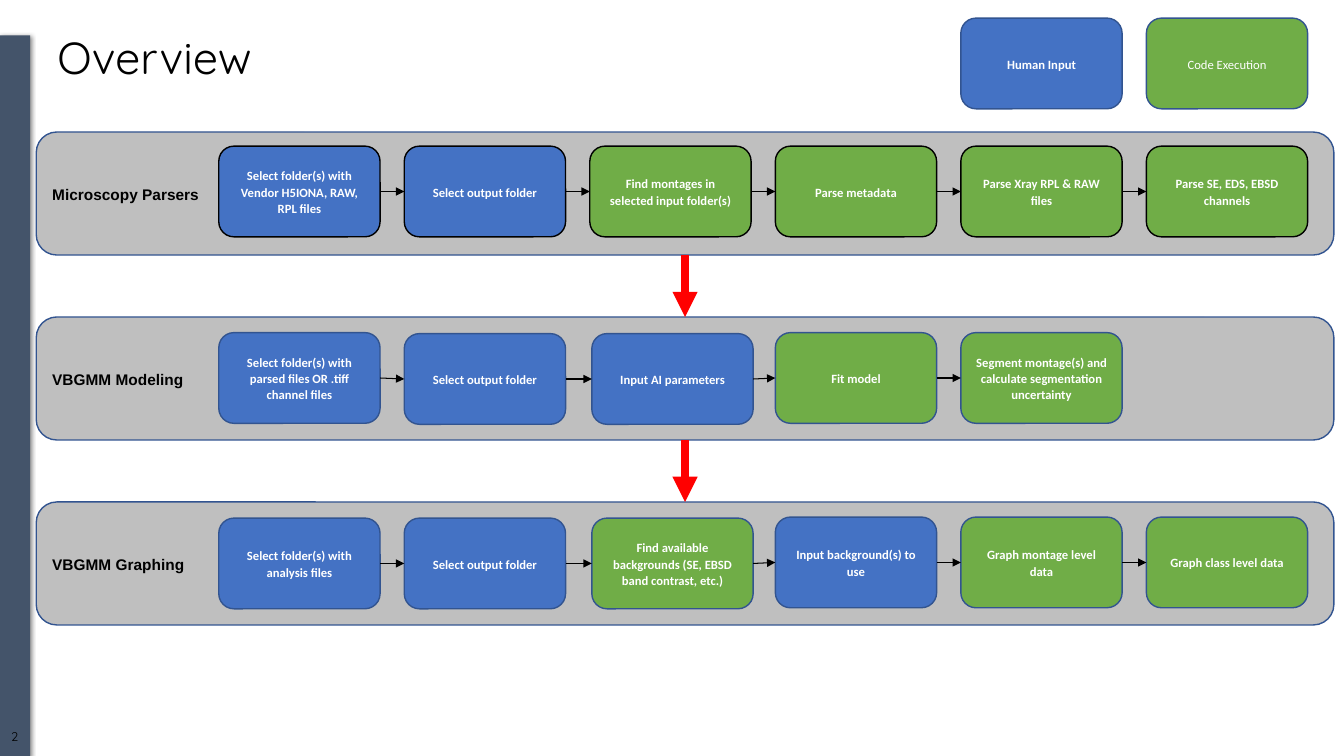
from lxml.etree import SubElement
from pptx import Presentation
from pptx.dml.color import RGBColor
from pptx.enum.shapes import MSO_CONNECTOR, MSO_SHAPE
from pptx.enum.text import MSO_ANCHOR, PP_ALIGN
from pptx.oxml.ns import qn
from pptx.util import Inches, Pt

BLUE = RGBColor(0x44, 0x72, 0xC4)
GREEN = RGBColor(0x70, 0xAD, 0x47)
GREY = RGBColor(0xBF, 0xBF, 0xBF)
NAVY = RGBColor(0x32, 0x54, 0x90)
SLATE = RGBColor(0x44, 0x54, 0x6A)
RED = RGBColor(0xFF, 0, 0)
BLACK = RGBColor(0, 0, 0)
WHITE = RGBColor(0xFF, 0xFF, 0xFF)

TOP, RIGHT, BOTTOM, LEFT = 0, 3, 2, 1  # connection sites
STEP_WIDTH, STEP_HEIGHT = 1.6, 0.9
COLUMNS = [2.17 + 1.84 * index for index in range(6)]
LANE_TOP, LANE_PITCH, LANE_HEIGHT = 1.31, 1.835, 1.22

# Each lane: name, step outline, third column's left, tops of steps, steps
LANES = [
    ("Microscopy Parsers", BLACK, 5.85, [1.45] * 6, [
        ("Select folder(s) with Vendor H5IONA, RAW, RPL files", BLUE),
        ("Select output folder", BLUE),
        ("Find montages in selected input folder(s)", GREEN),
        ("Parse metadata", GREEN),
        ("Parse Xray RPL & RAW files", GREEN),
        ("Parse SE, EDS, EBSD channels", GREEN)]),
    ("VBGMM Modeling", NAVY, 5.87, [3.3, 3.31, 3.31, 3.3, 3.3], [
        ("Select folder(s) with parsed files OR .tiff channel files", BLUE),
        ("Select output folder", BLUE),
        ("Input AI parameters", BLUE),
        ("Fit model", GREEN),
        ("Segment montage(s) and calculate segmentation uncertainty", GREEN)]),
    ("VBGMM Graphing", NAVY, 5.87, [5.14, 5.14, 5.14, 5.13, 5.13, 5.13], [
        ("Select folder(s) with analysis files", BLUE),
        ("Select output folder", BLUE),
        ("Find available backgrounds (SE, EBSD band contrast, etc.)", GREEN),
        ("Input background(s) to use", BLUE),
        ("Graph montage level data", GREEN),
        ("Graph class level data", GREEN)]),
]


def write(frame, text, font="Calibri", size=9, color=WHITE, bold=False,
          align=PP_ALIGN.CENTER, anchor=MSO_ANCHOR.MIDDLE, spacing=1.07,
          after=8, margins=(0.1, 0.05)):
    """Put one formatted paragraph in a text frame."""
    frame.word_wrap = True
    frame.vertical_anchor = anchor
    frame.margin_left = frame.margin_right = Inches(margins[0])
    frame.margin_top = frame.margin_bottom = Inches(margins[1])
    para = frame.paragraphs[0]
    para.alignment = align
    para.line_spacing = spacing
    para.space_before = Pt(0)
    para.space_after = Pt(after)
    span = para.add_run()
    span.text = text
    span.font.name = font
    span.font.size = Pt(size)
    span.font.bold = bold
    span.font.color.rgb = color


class FlowPage:
    """Holds the current slide and the style of its elements."""

    def __init__(self, deck):
        """Add a slide that has only a title."""
        self.page = deck.slides.add_slide(deck.slide_layouts[5])
        self.shapes = self.page.shapes

    def title(self, text):
        """Place and fill the title placeholder."""
        box = self.page.shapes.title
        box.left, box.top = Inches(0.47), Inches(0.3)
        box.width, box.height = Inches(12.5), Inches(0.59)
        write(box.text_frame, text, font="Quicksand", size=32, color=BLACK,
              align=PP_ALIGN.LEFT, spacing=0.9, after=0)

    def sidebar(self, number):
        """Draw the shadowed bar at the left with the page number."""
        bar = self.box(MSO_SHAPE.RECTANGLE, 0, 0.35, 0.3, 7.15, SLATE)
        effects = bar._element.spPr.find(qn("a:effectLst"))
        shadow = SubElement(effects, qn("a:outerShdw"), blurRad=str(Pt(3.5)),
                            dist=str(Pt(1.1)), dir="5400000", rotWithShape="0")
        tint = SubElement(shadow, qn("a:srgbClr"), val="000000")
        SubElement(tint, qn("a:alpha"), val="45000")
        label = self.shapes.add_textbox(Inches(-0.01), Inches(7.25),
                                        Inches(0.31), Inches(0.16))
        write(label.text_frame, number, font="Quicksand", color=BLACK,
              anchor=MSO_ANCHOR.TOP, spacing=0.9, after=0, margins=(0, 0))

    def box(self, kind, left, top, width, height, fill, outline=None):
        """Draw a filled shape without shadow."""
        box = self.shapes.add_shape(kind, Inches(left), Inches(top),
                                    Inches(width), Inches(height))
        box.shadow.inherit = False
        box.fill.solid()
        box.fill.fore_color.rgb = fill
        if outline is None:
            box.line.fill.background()
        else:
            box.line.color.rgb = outline
            box.line.width = Pt(1)
        return box

    def step(self, text, left, top, fill, outline=NAVY, bold=True):
        """Draw one rounded step of the flow."""
        box = self.box(MSO_SHAPE.ROUNDED_RECTANGLE, left, top,
                       STEP_WIDTH, STEP_HEIGHT, fill, outline)
        write(box.text_frame, text, bold=bold)
        return box

    def arrow(self, start, start_site, end, end_site, color=BLACK, width=0.75):
        """Join two shapes with an arrow."""
        line = self.shapes.add_connector(MSO_CONNECTOR.STRAIGHT, 0, 0, 0, 0)
        line.begin_connect(start, start_site)
        line.end_connect(end, end_site)
        line.line.color.rgb = color
        line.line.width = Pt(width)
        SubElement(line.line._get_or_add_ln(), qn("a:tailEnd"), type="triangle")
        SubElement(line._element.spPr, qn("a:effectLst"))

    def lane(self, top, name, outline, third_left, tops, steps):
        """Draw a named, grouped lane with its chain of steps."""
        self.shapes = self.page.shapes.add_group_shape().shapes
        band = self.box(MSO_SHAPE.ROUNDED_RECTANGLE, 0.36, top, 12.87,
                        LANE_HEIGHT, GREY, NAVY)
        write(band.text_frame, name, font="Arial", size=11, color=BLACK,
              bold=True, align=PP_ALIGN.LEFT)
        lefts = COLUMNS[:2] + [third_left] + COLUMNS[3:]
        boxes = [self.step(text, left, step_top, fill, outline)
                 for (text, fill), left, step_top in zip(steps, lefts, tops)]
        for start, end in zip(boxes, boxes[1:]):
            self.arrow(start, RIGHT, end, LEFT)
        self.shapes = self.page.shapes
        return band


deck = Presentation()
deck.slide_width, deck.slide_height = Inches(13.33), Inches(7.5)

overview = FlowPage(deck)
overview.sidebar("2")
overview.title("Overview")
overview.step("Human Input", COLUMNS[4], 0.18, BLUE)
overview.step("Code Execution", COLUMNS[5], 0.18, GREEN, bold=False)

bands = [overview.lane(LANE_TOP + LANE_PITCH * index, *lane)
         for index, lane in enumerate(LANES)]
for upper, lower in zip(bands, bands[1:]):
    overview.arrow(upper, BOTTOM, lower, TOP, RED, 6)

deck.save("out.pptx")
